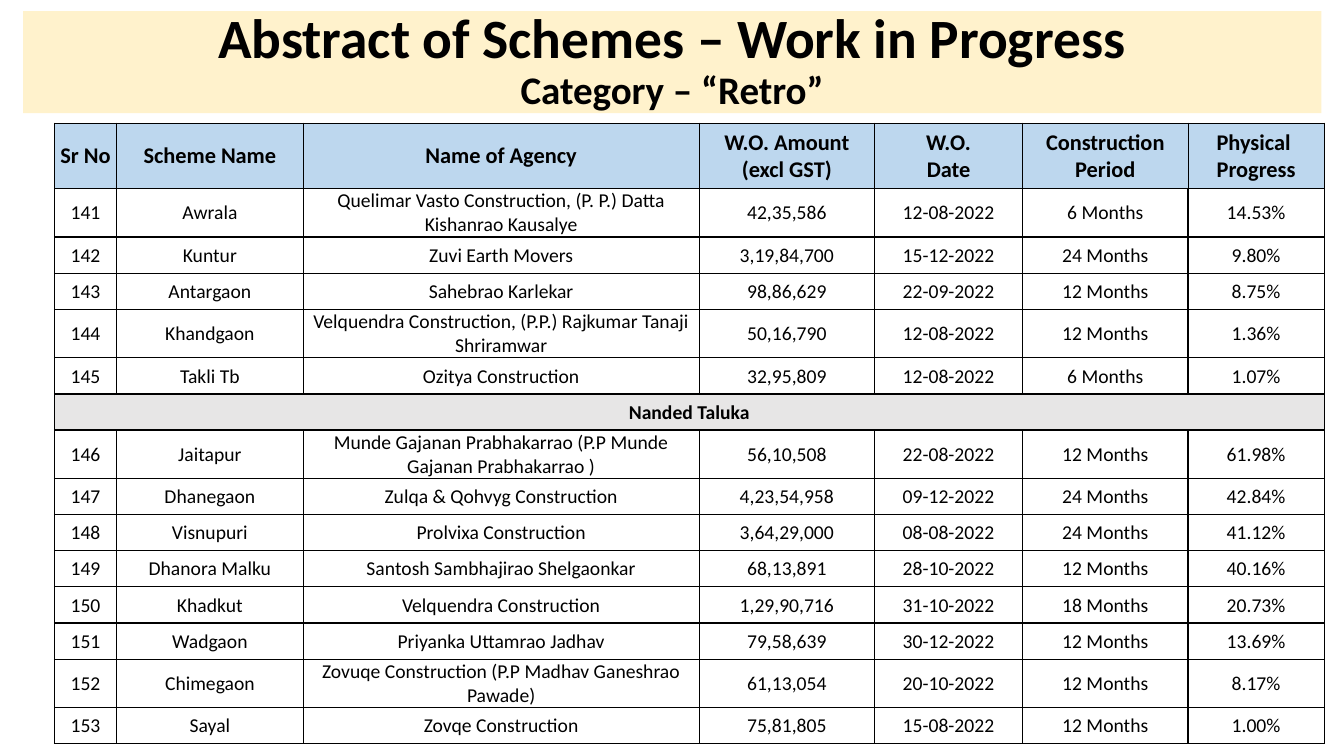
from lxml import etree
from pptx import Presentation
from pptx.dml.color import RGBColor
from pptx.enum.text import MSO_ANCHOR, MSO_AUTO_SIZE, PP_ALIGN
from pptx.oxml.ns import qn
from pptx.util import Cm, Pt

MIDDLE = MSO_ANCHOR.MIDDLE
CENTER = PP_ALIGN.CENTER
NO_FIT = MSO_AUTO_SIZE.NONE

FONT = "Calibri"
BLACK, CREAM, BLUE, GREY = "000000", "FFF2CC", "BDD7EE", "E7E6E6"
LEFT = 1.37
COLS = [1.57, 4.7, 9.98, 4.42, 3.73, 4.17, 3.43]
LOW, TALL = 0.91, 1.19
WRAP = 45
CELL = {
    "vertical_anchor": MIDDLE,
    "margin_left": Cm(0.02),
    "margin_right": Cm(0.02),
    "margin_top": Cm(0.02),
    "margin_bottom": Cm(0),
}

HEADS = [
    "Sr No", "Scheme Name", "Name of Agency", "W.O. Amount\v(excl GST)",
    "W.O.\vDate", "Construction\vPeriod", "Physical \nProgress",
]
FIRST = 141
TALUKA = "Nanded Taluka"
ABOVE = [
    ("Awrala", "Quelimar Vasto Construction, (P. P.) Datta Kishanrao Kausalye",
     "42,35,586", "12-08-2022", "6 Months", "14.53%"),
    ("Kuntur", "Zuvi Earth Movers", "3,19,84,700", "15-12-2022", "24 Months", "9.80%"),
    ("Antargaon", "Sahebrao Karlekar", "98,86,629", "22-09-2022", "12 Months", "8.75%"),
    ("Khandgaon", "Velquendra Construction, (P.P.) Rajkumar Tanaji Shriramwar",
     "50,16,790", "12-08-2022", "12 Months", "1.36%"),
    ("Takli Tb", "Ozitya Construction", "32,95,809", "12-08-2022", "6 Months", "1.07%"),
]
BELOW = [
    ("Jaitapur", "Munde Gajanan Prabhakarrao (P.P Munde Gajanan Prabhakarrao )",
     "56,10,508", "22-08-2022", "12 Months", "61.98%"),
    ("Dhanegaon", "Zulqa & Qohvyg Construction",
     "4,23,54,958", "09-12-2022", "24 Months", "42.84%"),
    ("Visnupuri", "Prolvixa Construction",
     "3,64,29,000", "08-08-2022", "24 Months", "41.12%"),
    ("Dhanora Malku", "Santosh Sambhajirao Shelgaonkar",
     "68,13,891", "28-10-2022", "12 Months", "40.16%"),
    ("Khadkut", "Velquendra Construction",
     "1,29,90,716", "31-10-2022", "18 Months", "20.73%"),
    ("Wadgaon", "Priyanka Uttamrao Jadhav",
     "79,58,639", "30-12-2022", "12 Months", "13.69%"),
    ("Chimegaon", "Zovuqe Construction (P.P Madhav Ganeshrao Pawade)",
     "61,13,054", "20-10-2022", "12 Months", "8.17%"),
    ("Sayal", "Zovqe Construction", "75,81,805", "15-08-2022", "12 Months", "1.00%"),
]


def color(code):
    return RGBColor.from_string(code)


def apply(item, values):
    for name, value in values.items():
        setattr(item, name, value)


def paint(item, code):
    if code:
        item.fill.solid()
        item.fill.fore_color.rgb = color(code)
    else:
        item.fill.background()


def style(par, sizes, bold):
    par.alignment = CENTER
    for run, size in zip(par.runs, sizes):
        apply(run.font, {"name": FONT, "size": Pt(size), "bold": bold})
        run.font.color.rgb = color(BLACK)
    for gap in par._p.findall(qn("a:br")):
        etree.SubElement(gap, qn("a:rPr")).set("sz", str(round(sizes[0] * 100)))


def border(cell, widths):
    props = cell._tc.get_or_add_tcPr()
    for side, width in zip("LRTB", widths):
        line = etree.SubElement(props, qn("a:ln" + side), w=str(Pt(width)))
        fill = etree.SubElement(line, qn("a:solidFill"))
        etree.SubElement(fill, qn("a:srgbClr"), val=BLACK)


def write(cell, text, size, bold, fill, widths):
    cell.text = text
    for par in cell.text_frame.paragraphs:
        style(par, [size, size], bold)
    apply(cell, CELL)
    border(cell, widths)
    paint(cell, fill)


def grid(slide, top, highs):
    frame = slide.shapes.add_table(
        len(highs), len(COLS), Cm(LEFT), Cm(top), Cm(sum(COLS)), Cm(sum(highs)))
    table = frame.table
    apply(table, {"first_row": False, "horz_banding": False})
    for col, wide in zip(table.columns, COLS):
        col.width = Cm(wide)
    for row, high in zip(table.rows, highs):
        row.height = Cm(high)
    return table


def banner(slide):
    title = slide.shapes.title
    apply(title, {"left": Cm(0.58), "top": Cm(0.28),
                  "width": Cm(32.72), "height": Cm(2.57)})
    paint(title, CREAM)
    frame = title.text_frame
    frame.text = "Abstract of Schemes – Work in Progress\vCategory – “Retro”"
    apply(frame, {"vertical_anchor": MIDDLE, "word_wrap": True, "auto_size": NO_FIT})
    par = frame.paragraphs[0]
    par.line_spacing = 0.9
    style(par, [39.6, 27.9], True)


def header(slide):
    table = grid(slide, 3.1, [1.65])
    for cell, text in zip(table.rows[0].cells, HEADS):
        write(cell, text, 16, True, BLUE, [0.5, 0.5, 0.5, 1])


def body(slide):
    items = [(str(num), *item) for num, item in enumerate(ABOVE + BELOW, FIRST)]
    split = len(ABOVE)
    band = (TALUKA,) + ("",) * (len(COLS) - 1)
    rows = items[:split] + [band] + items[split:]
    table = grid(slide, 4.75, [TALL if len(row[2]) > WRAP else LOW for row in rows])
    for index, (row, texts) in enumerate(zip(table.rows, rows)):
        mark = index == split
        for cell, text in zip(row.cells, texts):
            write(cell, text, 14, mark, GREY if mark else None, [1] * 4)
    table.cell(split, 0).merge(table.cell(split, len(COLS) - 1))


def main():
    deck = Presentation()
    apply(deck, {"slide_width": Cm(33.87), "slide_height": Cm(19.05)})
    slide = deck.slides.add_slide(deck.slide_layouts[5])
    banner(slide)
    header(slide)
    body(slide)
    deck.save("out.pptx")


if __name__ == "__main__":
    main()
